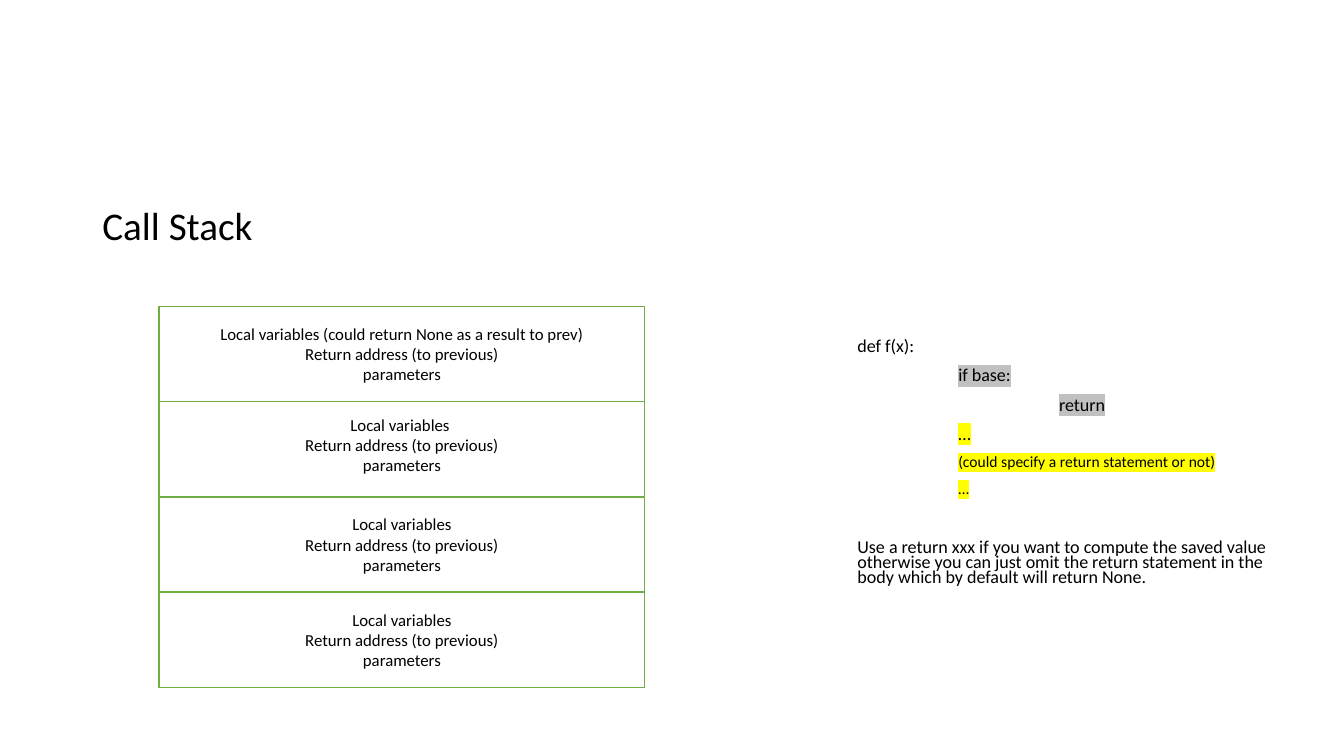
from dataclasses import dataclass

from lxml import etree
from pptx import Presentation
from pptx import util as u
from pptx.dml.color import RGBColor
from pptx.enum import shapes, text
from pptx.oxml import ns

COLORS = {"ink": "000000", "paper": "FFFFFF", "edge": "70AD47",
          "gray": "C0C0C0", "yellow": "FFFF00"}
FONT = "Calibri"


@dataclass
class Frame:
    first: str
    lift: float = 0  # extra bottom inset, cm


@dataclass
class Line:
    words: str
    indent: int = 0  # in steps of 2.54 cm
    mark: str = ""
    size: float = 12.9
    before: float = 10


# Stack frames, top to bottom
FRAMES = [
    Frame("Local variables (could return None as a result to prev)"),
    Frame("Local variables ", 0.22),
    Frame("Local variables"),
    Frame("Local variables"),
]
REST = "Return address (to previous)\nparameters"
LEFT, TOP, WIDTH, HEIGHT = 4.01, 7.72, 12.24, 2.4

CODE = [
    Line("def f(x):"),
    Line("if base:", 1, "gray"),
    Line("return", 2, "gray"),
    Line("…", 1, "yellow"),
    Line("(could specify a return statement or not)", 1, "yellow", 11.1),
    Line("…", 1, "yellow", 11.1),
    Line("Use a return xxx if you want to compute the saved value "
         "otherwise you can just omit the return statement in the "
         "body which by default will return None.", before=31),
]


def rgb(name: str) -> RGBColor:
    return RGBColor.from_string(COLORS[name])


def style(para, size: float, mark: str = "") -> None:
    for run in para.runs:
        run.font.size = u.Pt(size)
        run.font.name = FONT
        run.font.color.rgb = rgb("ink")
        if mark:
            light = etree.Element(ns.qn("a:highlight"))
            etree.SubElement(light, ns.qn("a:srgbClr"), val=COLORS[mark])
            run._r.get_or_add_rPr().find(ns.qn("a:solidFill")).addnext(light)


def add_frame(slide, frame: Frame, row: int) -> None:
    box = slide.shapes.add_shape(
        shapes.MSO_SHAPE.RECTANGLE, u.Cm(LEFT), u.Cm(TOP + row * HEIGHT),
        u.Cm(WIDTH), u.Cm(HEIGHT))
    box.shadow.inherit = False
    box.fill.solid()
    box.fill.fore_color.rgb = rgb("paper")
    box.line.color.rgb = rgb("edge")
    box.line.width = u.Pt(1)
    body = box.text_frame
    body.text = f"{frame.first}\n{REST}"
    body.vertical_anchor = text.MSO_ANCHOR.MIDDLE
    body.margin_bottom = u.Cm(0.13 + frame.lift)
    for para in body.paragraphs:
        para.alignment = text.PP_ALIGN.CENTER
        style(para, 12)


def add_lines(slide, area: tuple, lines: list[Line], pitch: float) -> None:
    body = slide.shapes.add_textbox(*map(u.Cm, area)).text_frame
    body.word_wrap = True
    body.text = "\n".join(line.words for line in lines)
    for para, line in zip(body.paragraphs, lines):
        para.line_spacing = pitch
        para.space_before = u.Pt(line.before)
        if line.indent:
            para._p.get_or_add_pPr().set("marL", str(u.Cm(2.54 * line.indent)))
        style(para, line.size, line.mark)


def main() -> None:
    deck = Presentation()
    deck.slide_width, deck.slide_height = u.Cm(33.87), u.Cm(19.05)
    slide = deck.slides.add_slide(deck.slide_layouts[6])

    # Call stack, lowest frame at the back
    for row, frame in reversed(list(enumerate(FRAMES))):
        add_frame(slide, frame, row)

    # Code sketch and title
    add_lines(slide, (21.36, 8.46, 10.97, 7.01), CODE, 0.7)
    add_lines(slide, (2.33, 5.08, 29.21, 12.09),
              [Line("Call Stack", size=28)], 0.9)

    deck.save("out.pptx")


if __name__ == "__main__":
    main()
